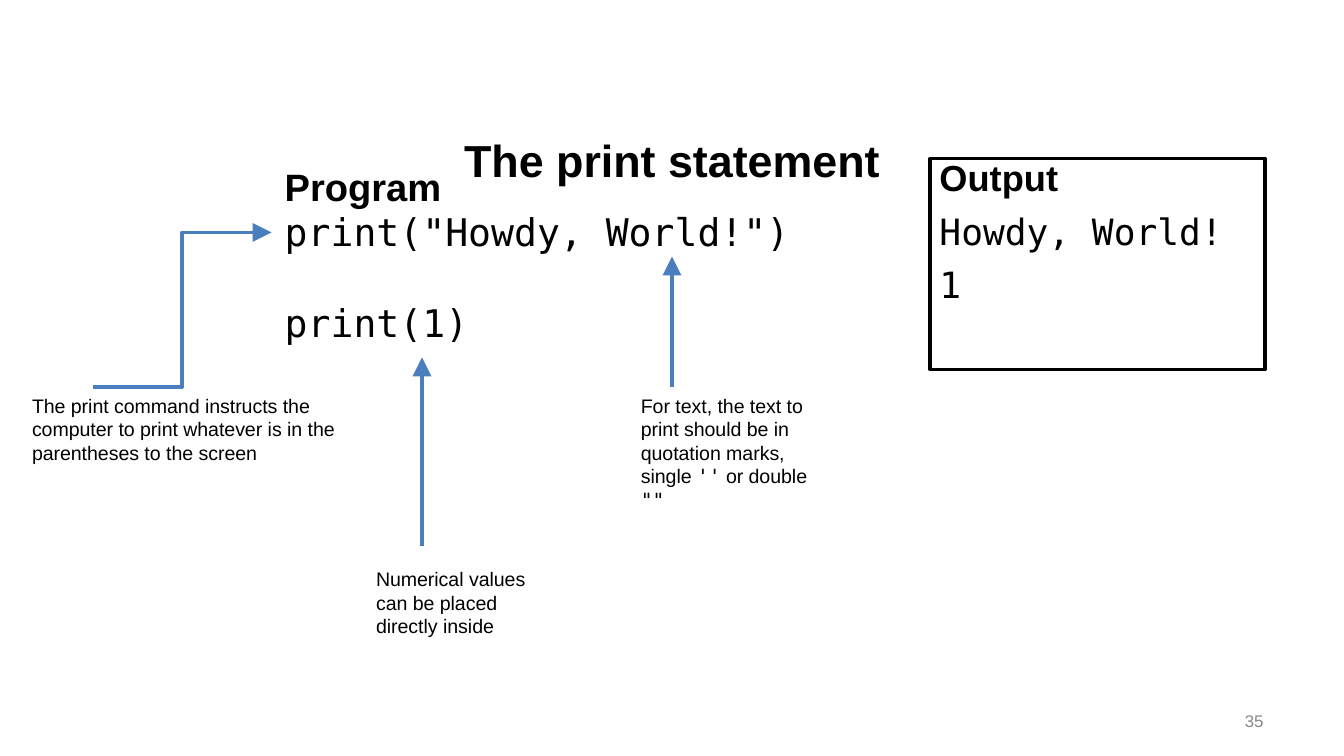
import pptx
import pptx.util
import pptx.dml.color
import pptx.enum.shapes
import pptx.enum.text
import pptx.oxml.ns
from lxml import etree

Inches, Pt = pptx.util.Inches, pptx.util.Pt
ALIGN = pptx.enum.text.PP_ALIGN
ANCHOR = pptx.enum.text.MSO_ANCHOR
CONNECTOR = pptx.enum.shapes.MSO_CONNECTOR
SANS, MONO = "Arial", "DejaVu Sans Mono"
COLORS = {"text": "000000", "arrow": "4B7EBC", "number": "888888"}

# A paragraph is a list of (text, font) runs.
TITLE = [[("The print statement", SANS)]]
PROGRAM = [[("Program", SANS)], [('print("Howdy, World!")', MONO)], [("print(1)", MONO)]]
OUTPUT = [[("Output", SANS)], [("Howdy, World!", MONO)], [("1", MONO)]]
PAGE = [[("35", SANS)]]

PANEL_TOP, PANEL_HEIGHT, NOTE_TOP = 1.18, 1.57, 2.88
NOTES = [
    ((0.14, NOTE_TOP, 2.56, 0.63),
     [("The print command instructs the computer to print whatever is in the "
       "parentheses to the screen", SANS)]),
    ((4.67, NOTE_TOP, 1.53, 0.98),
     [("For text, the text to print should be in quotation marks, single ", SANS),
      ("''", MONO), (" or double ", SANS), ('""', MONO)]),
    ((2.7, 4.17, 1.53, 0.63),
     [("Numerical values can be placed directly inside", SANS)]),
]
ARROWS = [
    (CONNECTOR.ELBOW, (0.69, NOTE_TOP), (2.02, 1.73)),
    (CONNECTOR.STRAIGHT, (5, NOTE_TOP), (5, 1.91)),
    (CONNECTOR.STRAIGHT, (3.14, 4.06), (3.14, 2.66)),
]


def rgb(name):
    return pptx.dml.color.RGBColor.from_string(COLORS[name])


def write(sp, paragraphs, size, color="text", heading=False, align=ALIGN.LEFT,
          anchor=ANCHOR.TOP, inset=(0.1, 0.05), line=1.0, gaps=()):
    """Fill sp; heading makes the first paragraph bold, gaps go before the later ones."""
    tf = sp.text_frame
    tf.word_wrap = True
    tf.auto_size = pptx.enum.text.MSO_AUTO_SIZE.NONE
    tf.vertical_anchor = anchor
    tf.margin_left = tf.margin_right = Inches(inset[0])
    tf.margin_top = tf.margin_bottom = Inches(inset[1])
    for i, runs in enumerate(paragraphs):
        p = tf.add_paragraph() if i else tf.paragraphs[0]
        p.alignment = align
        p.line_spacing = line
        p.space_before = Pt(gaps[i - 1] if i else 0)
        for text, font in runs:
            r = p.add_run()
            r.text = text
            r.font.name = font
            r.font.size = Pt(size)
            r.font.bold = heading and i == 0
            r.font.color.rgb = rgb(color)


def add_arrow(shapes, kind, start, end):
    sp = shapes.add_connector(kind, *map(Inches, start + end))
    sp.line.color.rgb = rgb("arrow")
    sp.line.width = Pt(2)
    qn = pptx.oxml.ns.qn
    etree.SubElement(sp.line._get_or_add_ln(), qn("a:tailEnd"),
                     type="triangle", w="lg", len="lg")
    etree.SubElement(sp._element.spPr, qn("a:effectLst"))


def main():
    prs = pptx.Presentation()
    prs.slide_width = Inches(10)
    prs.slide_height = prs.slide_width * 9 // 16
    shapes = prs.slides.add_slide(prs.slide_layouts[5]).shapes

    title = shapes.title
    title.left, title.top, title.width, title.height = map(Inches, (0.5, 0.86, 9, 0.66))
    write(title, TITLE, 24, heading=True, align=ALIGN.CENTER,
          anchor=ANCHOR.MIDDLE, inset=(0.1, 0.1))

    program = shapes.add_textbox(*map(Inches, (2.02, PANEL_TOP, 4.11, PANEL_HEIGHT)))
    write(program, PROGRAM, 20.4, heading=True, inset=(0.1, 0.1), line=0.8, gaps=(4.8, 29))

    output = shapes.add_shape(pptx.enum.shapes.MSO_SHAPE.RECTANGLE,
                              *map(Inches, (6.92, PANEL_TOP, 2.49, PANEL_HEIGHT)))
    output.shadow.inherit = False
    output.fill.background()
    output.line.color.rgb = rgb("text")
    output.line.width = Pt(2)
    write(output, OUTPUT, 19.4, heading=True, inset=(0.07, 0.04), line=0.8, gaps=(10, 10))

    for place, note in NOTES:
        write(shapes.add_textbox(*map(Inches, place)), [note], 10.5)
    for arrow in ARROWS:
        add_arrow(shapes, *arrow)

    page = shapes.add_textbox(*map(Inches, (7.17, 5.21, 2.33, 0.3)))
    write(page, PAGE, 9, color="number", align=ALIGN.RIGHT, anchor=ANCHOR.MIDDLE)

    prs.save("out.pptx")


if __name__ == "__main__":
    main()
